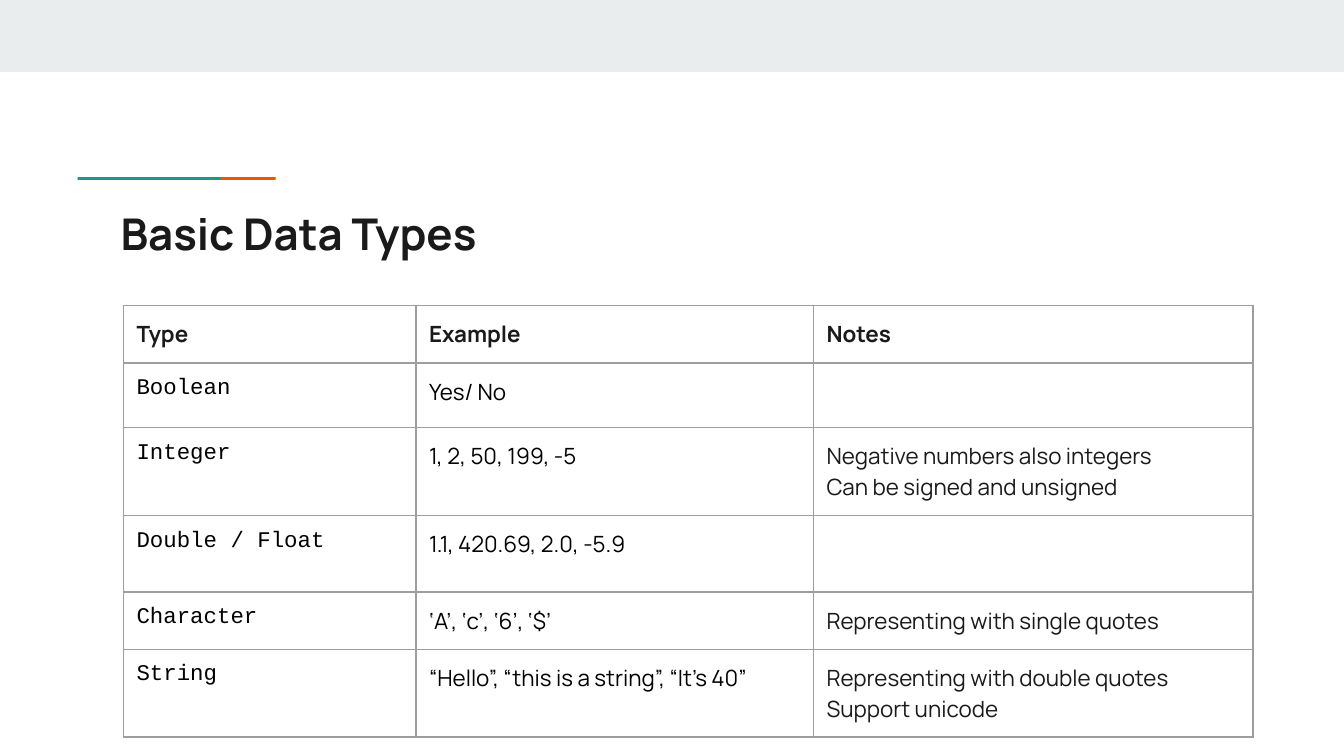
from lxml.etree import SubElement
from pptx import Presentation
from pptx.dml.color import RGBColor
from pptx.enum.shapes import MSO_SHAPE as Preset
from pptx.enum.text import MSO_ANCHOR as Anchor
from pptx.oxml.ns import qn
from pptx.util import Cm, Pt

COLORS = {
    "band": "E9EDEE",
    "teal": "1A9988",
    "orange": "EB5600",
    "ink": "1A1A1A",
    "black": "000000",
    "border": "9E9E9E",
}
SANS, MONO = "Manrope", "Courier New"
INSET = Cm(0.25)

COLUMN_WIDTHS = [5.53, 7.51, 8.31]
ROW_HEIGHTS = [1.08, 1.22, 1.66, 1.45, 1.08, 1.66]
HEADERS = ["Type", "Example", "Notes"]
DATA_TYPES = [
    ["Boolean", "Yes/ No", ""],
    ["Integer", "1, 2, 50, 199, -5",
     "Negative numbers also integers\nCan be signed and unsigned"],
    ["Double / Float", "1.1, 420.69, 2.0, -5.9", ""],
    ["Character", "‘A’, ‘c’, ‘6’, ‘$’", "Representing with single quotes"],
    ["String", "“Hello”, “this is a string”, “It’s 40”",
     "Representing with double quotes\nSupport unicode"],
]
COLUMN_STYLES = [(MONO, "black"), (SANS, "black"), (SANS, "ink")]


def add_bar(slide, left, top, width, height, color):
    bar = slide.shapes.add_shape(
        Preset.RECTANGLE, Cm(left), Cm(top), Cm(width), Cm(height))
    bar.shadow.inherit = False
    bar.fill.solid()
    bar.fill.fore_color.rgb = RGBColor.from_string(COLORS[color])
    bar.line.fill.background()


def write_text(text_frame, text, size, font_name, color, bold=False):
    """Write each line of the text as a paragraph with one run."""
    for index, line in enumerate(text.split("\n")):
        paragraph = text_frame.add_paragraph() if index else text_frame.paragraphs[0]
        run = paragraph.add_run()
        run.text = line
        run.font.size = Pt(size)
        run.font.name = font_name
        run.font.bold = bold
        run.font.color.rgb = RGBColor.from_string(COLORS[color])


def add_title(slide, text):
    box = slide.shapes.add_textbox(Cm(2.03), Cm(3.66), Cm(21.36), Cm(1.5))
    frame = box.text_frame
    frame.word_wrap = True
    frame.vertical_anchor = Anchor.TOP
    frame.margin_left = frame.margin_right = INSET
    frame.margin_top = frame.margin_bottom = INSET
    write_text(frame, text, 23.4, SANS, "ink", bold=True)


def set_borders(cell):
    properties = cell._tc.get_or_add_tcPr()
    for index, side in enumerate(("a:lnL", "a:lnR", "a:lnT", "a:lnB")):
        line = SubElement(properties, qn(side), w=str(Pt(0.75)))
        fill = SubElement(line, qn("a:solidFill"))
        SubElement(fill, qn("a:srgbClr"), val=COLORS["border"])
        properties.insert(index, line)


def style_cell(cell):
    cell.margin_left = cell.margin_right = INSET
    cell.margin_top = cell.margin_bottom = INSET
    cell.vertical_anchor = Anchor.TOP
    cell.fill.background()
    set_borders(cell)


def shrink_empty_cell(cell, size):
    """Keep the default text size of an empty cell from stretching its row."""
    paragraph = cell.text_frame.paragraphs[0]
    SubElement(paragraph._p, qn("a:endParaRPr"), sz=str(size * 100))


def add_type_table(slide):
    rows = [HEADERS] + DATA_TYPES
    table = slide.shapes.add_table(
        len(rows), len(HEADERS), Cm(2.33), Cm(5.78),
        Cm(sum(COLUMN_WIDTHS)), Cm(sum(ROW_HEIGHTS))).table
    table.first_row = table.horz_banding = False
    for column, width in zip(table.columns, COLUMN_WIDTHS):
        column.width = Cm(width)
    for row, height in zip(table.rows, ROW_HEIGHTS):
        row.height = Cm(height)
    for row_index, texts in enumerate(rows):
        for column_index, text in enumerate(texts):
            cell = table.cell(row_index, column_index)
            style_cell(cell)
            if not text:
                shrink_empty_cell(cell, 12)
                continue
            is_header = row_index == 0
            font_name, color = (
                (SANS, "ink") if is_header else COLUMN_STYLES[column_index])
            write_text(cell.text_frame, text, 12, font_name, color, is_header)


def main():
    presentation = Presentation()
    presentation.slide_width = Cm(25.4)
    presentation.slide_height = Cm(14.29)
    slide = presentation.slides.add_slide(presentation.slide_layouts[6])
    add_bar(slide, 0, 0, 25.4, 1.36, "band")
    for left, color in ((2.51, "orange"), (1.47, "teal")):
        add_bar(slide, left, 3.35, 2.7, 0.05, color)
    add_title(slide, "Basic Data Types")
    add_type_table(slide)
    presentation.save("out.pptx")


if __name__ == "__main__":
    main()
